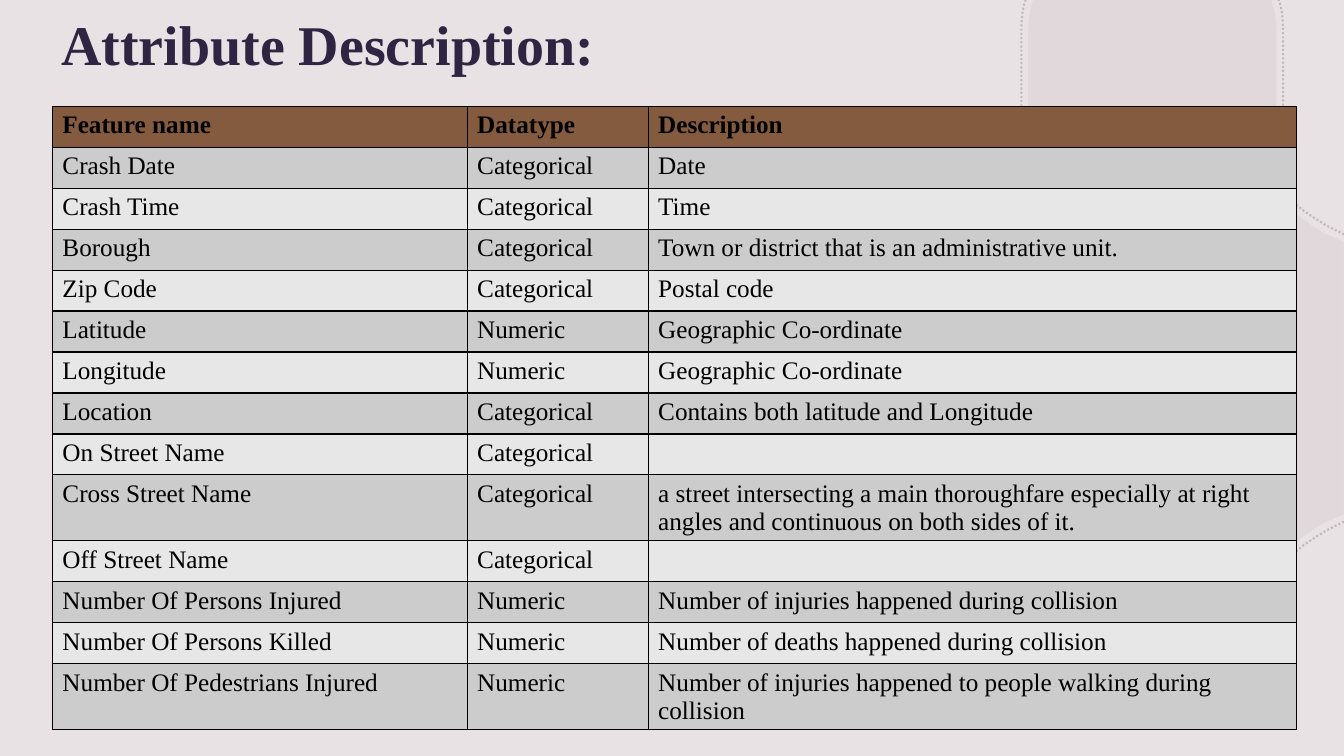
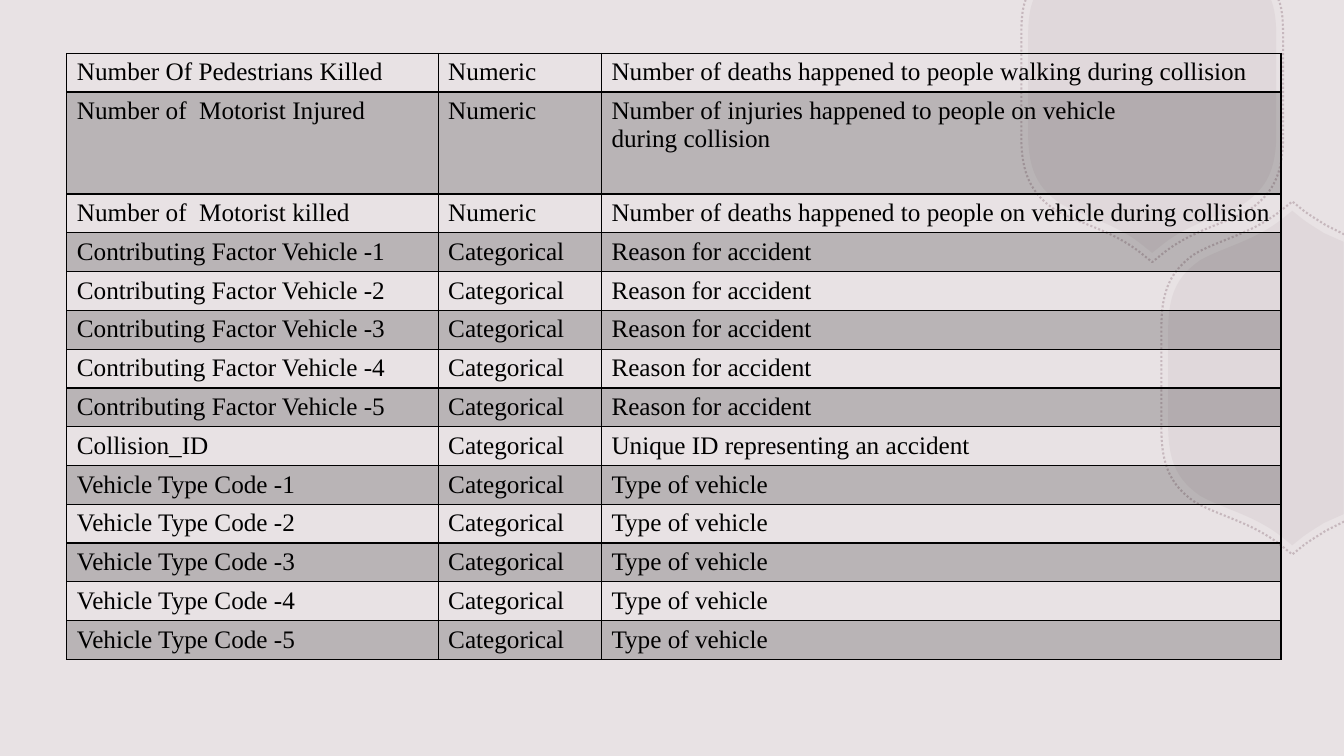
"""Build two slides that describe the attributes of a crash data set."""
from lxml import etree
from pptx import Presentation
from pptx.dml.color import RGBColor
from pptx.enum.dml import MSO_LINE
from pptx.enum.text import MSO_ANCHOR
from pptx.oxml.ns import qn
from pptx.util import Inches, Pt

DOTTED = MSO_LINE.ROUND_DOT
MIDDLE = MSO_ANCHOR.MIDDLE
FONT = "Times New Roman"
HARD_SPACE = chr(160)
COLORS = {
    "background": "E8E2E4",
    "badge": "B5A2A9",
    "title": "2F2441",
    "black": "000000",
    "header": "855B40",
    "dark band": "CCCCCC",
    "light band": "E7E7E7",
}
WIDTH, HEIGHT = Inches(13.33), Inches(7.5)
COLUMN, ROW = WIDTH / 100, HEIGHT / 100


def write_text(frame, text, size=18, color="black", bold=False):
    """Write one formatted run into the first paragraph of a text frame."""
    run = frame.paragraphs[0].add_run()
    run.text = text
    run.font.name = FONT
    run.font.size = Pt(size)
    run.font.bold = bold
    run.font.color.rgb = RGBColor.from_string(COLORS[color])


def set_opacity(properties, percent):
    """Make the solid fill directly below an element partly transparent."""
    color = properties.find(qn("a:solidFill")).find(qn("a:srgbClr"))
    etree.SubElement(color, qn("a:alpha"), val=str(percent * 1000))


presentation = Presentation()
presentation.slide_width, presentation.slide_height = WIDTH, HEIGHT
master = presentation.slide_master
master.background.fill.solid()
master.background.fill.fore_color.rgb = RGBColor.from_string(COLORS["background"])
blank_layout = presentation.slide_layouts[6]
slides = [presentation.slides.add_slide(blank_layout) for _ in range(2)]

quarter = [
    (0, 12.45), (0.83, 11.78), (2.85, 10.2), (5.1, 9.75), (6.83, 8.78),
    (8.48, 7.65), (9.23, 6.3), (9.23, 3.6),
]
top_half = [
    (8.85, -6.38), (8.93, -6.15), (9.15, -5.48), (9.23, -4.65), (9.23, -3.68),
    *reversed(quarter),
]
side_half = [
    (3.83, 10.13), (2.33, 10.8), (1.88, 11.1), (1.35, 11.4), (0.83, 11.78),
    *[(-x, y) for x, y in quarter], (-9.23, 0),
]
badges = [
    {"center": (85.73, 11.33), "half": top_half, "mirror": (-1, 1), "steps": "LCLCCL"},
    {"center": (96.15, 50), "half": side_half, "mirror": (1, -1), "steps": "LCLLCCL"},
]

for scale, is_dotted in ((1, False), (1.055, True)):
    for badge in badges:
        center_x, center_y = badge["center"]
        mirror_x, mirror_y = badge["mirror"]
        mirrored = [(x * mirror_x, y * mirror_y) for x, y in reversed(badge["half"])]
        points = [
            (min(round((center_x + x * scale) * COLUMN), WIDTH),
             max(round(center_y * ROW + y * scale * COLUMN), 0))
            for x, y in badge["half"] + mirrored[1:]
        ]
        builder = slides[0].shapes.build_freeform(*points[0])
        builder.add_line_segments(points[1:], close=not is_dotted)
        shape = builder.convert_to_shape()
        shape.shadow.inherit = False
        shape_properties = shape.element.spPr
        outline = next(shape_properties.iter(qn("a:path")))
        segments = iter(outline.findall(qn("a:lnTo")))
        for step in badge["steps"] + badge["steps"][::-1]:
            segment = next(segments)
            if step == "C":
                segment.tag = qn("a:cubicBezTo")
                for _ in range(2):
                    absorbed = next(segments)
                    segment.append(absorbed[0])
                    outline.remove(absorbed)
        badge_color = RGBColor.from_string(COLORS["badge"])
        if is_dotted:
            shape.fill.background()
            shape.line.color.rgb = badge_color
            shape.line.width = Pt(1.5)
            shape.line.dash_style = DOTTED
            set_opacity(shape_properties.find(qn("a:ln")), 65)
        else:
            shape.fill.solid()
            shape.fill.fore_color.rgb = badge_color
            shape.line.fill.background()
            set_opacity(shape_properties, 15)
        master.shapes.element.append(shape.element)

title = slides[0].shapes.add_textbox(
    round(3.83 * COLUMN), 0, round(70.65 * COLUMN), round(11.33 * ROW)
)
title.text_frame.word_wrap = True
title.text_frame.vertical_anchor = MIDDLE
write_text(title.text_frame, "Attribute Description:", size=40, color="title", bold=True)

first_rows = [
    ("Feature name", "Datatype", "Description"),
    ("Crash Date", "Categorical", "Date"),
    ("Crash Time", "Categorical", "Time"),
    ("Borough", "Categorical", "Town or district that is an administrative unit."),
    ("Zip Code", "Categorical", "Postal code"),
    ("Latitude", "Numeric", "Geographic Co-ordinate"),
    ("Longitude", "Numeric", "Geographic Co-ordinate"),
    ("Location", "Categorical", "Contains both latitude and Longitude"),
    ("On Street Name", "Categorical", ""),
    ("Cross Street Name", "Categorical",
     "a street intersecting a main thoroughfare especially at right angles "
     "and continuous on both sides of it."),
    ("Off Street Name", "Categorical", ""),
    ("Number Of Persons Injured", "Numeric", "Number of injuries happened during collision"),
    ("Number Of Persons Killed", "Numeric", "Number of deaths happened during collision"),
    ("Number Of Pedestrians Injured", "Numeric",
     "Number of injuries happened to people walking during collision"),
]
second_rows = [
    ("Number Of Pedestrians Killed", "Numeric",
     "Number of deaths happened to people walking during collision"),
    (f"Number of{HARD_SPACE} Motorist Injured", "Numeric",
     f"Number of injuries happened to people on vehicle during{HARD_SPACE}collision"),
    (f"Number of{HARD_SPACE} Motorist killed", "Numeric",
     "Number of deaths happened to people on vehicle during collision"),
    *[(f"Contributing Factor Vehicle -{number}", "Categorical", "Reason for accident")
      for number in range(1, 6)],
    ("Collision_ID", "Categorical", "Unique ID representing an accident"),
    *[(f"Vehicle Type Code -{number}", "Categorical", "Type of vehicle")
      for number in range(1, 6)],
]
tables = [
    {"rows": first_rows, "left": 3.9, "top": 14.06, "columns": (30.86, 13.47, 48.23),
     "row height": 5.42, "tall rows": {9: 8.73, 13: 8.73}, "has header": True,
     "bands": ("light band", "dark band"), "opacity": 100},
    {"rows": second_rows, "left": 4.97, "top": 7.07, "columns": (27.63, 12.15, 50.56),
     "row height": 5.13, "tall rows": {1: 13.47}, "has header": False,
     "bands": (None, "black"), "opacity": 20},
]

for slide, layout in zip(slides, tables):
    rows = layout["rows"]
    heights = [
        layout["tall rows"].get(index, layout["row height"]) for index in range(len(rows))
    ]
    table = slide.shapes.add_table(
        len(rows), len(layout["columns"]),
        round(layout["left"] * COLUMN), round(layout["top"] * ROW),
        round(sum(layout["columns"]) * COLUMN), round(sum(heights) * ROW),
    ).table
    table.first_row = layout["has header"]
    table.horz_banding = False
    for column, width in zip(table.columns, layout["columns"]):
        column.width = round(width * COLUMN)
    for row_index, values in enumerate(rows):
        table.rows[row_index].height = round(heights[row_index] * ROW)
        is_header = layout["has header"] and row_index == 0
        fill_name = "header" if is_header else layout["bands"][row_index % 2]
        has_thick_bottom = row_index == 0 and not layout["has header"]
        for column_index, text in enumerate(values):
            cell = table.cell(row_index, column_index)
            cell.margin_bottom = 0
            if text:
                write_text(cell.text_frame, text, bold=is_header)
            cell_properties = cell._tc.get_or_add_tcPr()
            for side in "LRTB":
                line_width = Pt(2 if side == "B" and has_thick_bottom else 1)
                border = etree.SubElement(
                    cell_properties, qn(f"a:ln{side}"), w=str(line_width)
                )
                border_fill = etree.SubElement(border, qn("a:solidFill"))
                etree.SubElement(border_fill, qn("a:srgbClr"), val=COLORS["black"])
            if fill_name is None:
                cell.fill.background()
                continue
            cell.fill.solid()
            cell.fill.fore_color.rgb = RGBColor.from_string(COLORS[fill_name])
            if layout["opacity"] < 100:
                set_opacity(cell_properties, layout["opacity"])

presentation.save("out.pptx")
